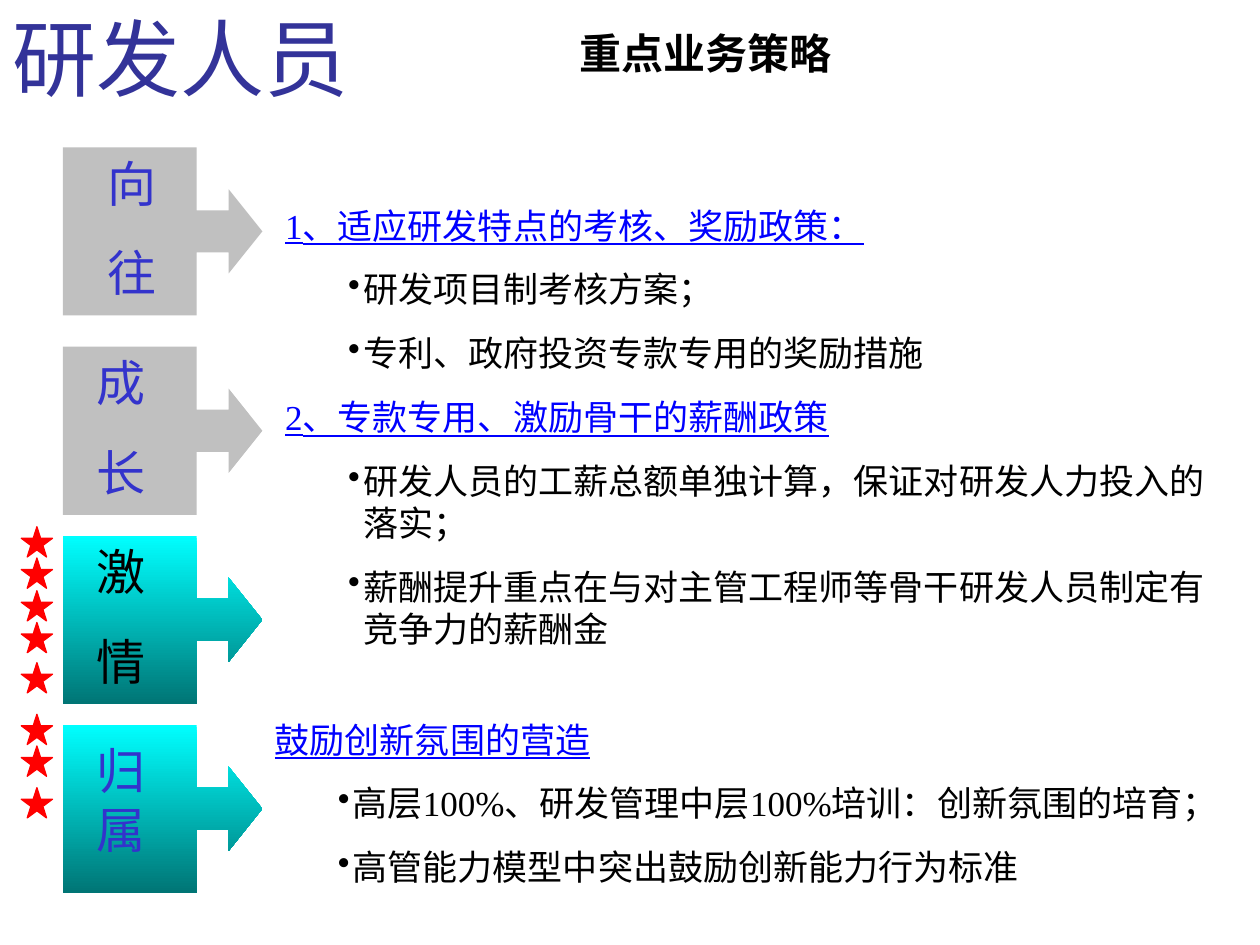
from dataclasses import dataclass

from lxml import etree
from pptx import Presentation
from pptx import util as u
from pptx.dml import color
from pptx.enum import shapes, text
from pptx.oxml import ns


@dataclass(frozen=True)
class Theme:
    title: str = "333399"
    label: str = "3333CC"
    heading: str = "0000FF"
    ink: str = "000000"
    grey: str = "C0C0C0"
    cyan: str = "00FFFF"
    teal: str = "007575"
    star: str = "FF0000"
    title_font: str = "Lato"
    body_font: str = "Times New Roman"
    title_size: int = 48
    label_size: int = 28
    strategy_size: int = 24
    body_size: int = 20


THEME = Theme()

STAGES = [
    (2.97, True, (1.91, 2.97, 3.25), ["向", "往"], THEME.label),
    (6.99, True, (1.7, 6.99, 3.25), ["成", "长"], THEME.label),
    (10.8, False, (1.7, 10.8, 3.25), ["激", "情"], THEME.ink),
    (14.61, False, (1.7, 14.81, 2.64), ["归属"], THEME.label),
]

STAR_TOPS = [10.62, 11.25, 11.91, 12.55, 13.36, 14.4, 15.04, 15.88]

POLICIES = [
    ("1、适应研发特点的考核、奖励政策：", False),
    ("研发项目制考核方案；", True),
    ("专利、政府投资专款专用的奖励措施", True),
    ("2、专款专用、激励骨干的薪酬政策", False),
    ("研发人员的工薪总额单独计算，保证对研发人力投入的落实；", True),
    ("薪酬提升重点在与对主管工程师等骨干研发人员制定有竞争力的薪酬金", True),
]

INNOVATION = [
    ("鼓励创新氛围的营造", False),
    ("高层100%、研发管理中层100%培训：创新氛围的培育；", True),
    ("高管能力模型中突出鼓励创新能力行为标准", True),
]


def rgb(value):
    return color.RGBColor.from_string(value)


def add_box(s, left, top, width, height, anchor=text.MSO_ANCHOR.TOP):
    sp = s.shapes.add_textbox(u.Cm(left), u.Cm(top), u.Cm(width), u.Cm(height))
    tf = sp.text_frame
    tf.word_wrap = True
    tf.vertical_anchor = anchor
    return tf


def add_paragraph(tf, index, space):
    if index == 0:
        return tf.paragraphs[0]
    p = tf.add_paragraph()
    p.space_before = u.Pt(space)
    return p


def add_run(p, words, size, ink, font=THEME.body_font, bold=None, underline=None):
    r = p.add_run()
    r.text = words
    r.font.name = font
    r.font.size = u.Pt(size)
    r.font.bold = bold
    r.font.underline = underline
    r.font.color.rgb = rgb(ink)


def set_indent(p, left, hanging):
    pPr = p._p.get_or_add_pPr()
    pPr.set("marL", str(u.Cm(left)))
    pPr.set("indent", str(-u.Cm(hanging)))
    return pPr


def set_bullet(p):
    p.level = 1
    pPr = set_indent(p, 1.57, 0.3)
    bullet_color = etree.SubElement(pPr, ns.qn("a:buClr"))
    etree.SubElement(bullet_color, ns.qn("a:srgbClr"), val=THEME.ink)
    etree.SubElement(pPr, ns.qn("a:buChar"), char="•")


def add_line(s, words, place, size, ink, **style):
    tf = add_box(s, *place)
    add_run(tf.paragraphs[0], words, size, ink, **style)


def add_callout(s, top, plain):
    sp = s.shapes.add_shape(shapes.MSO_SHAPE.RIGHT_ARROW_CALLOUT,
                            u.Cm(1.27), u.Cm(top), u.Cm(4.02), u.Cm(3.39))
    sp.shadow.inherit = False
    sp.line.fill.background()
    for i, value in enumerate([0.25, 0.25, 0.2, 0.67]):
        sp.adjustments[i] = value
    if plain:
        sp.fill.solid()
        sp.fill.fore_color.rgb = rgb(THEME.grey)
    else:
        sp.fill.gradient()
        sp.fill.gradient_angle = 270
        for stop, shade in zip(sp.fill.gradient_stops, [THEME.cyan, THEME.teal]):
            stop.color.rgb = rgb(shade)


def add_label(s, place, lines, ink):
    left, top, height = place
    tf = add_box(s, left, top, 1.91, height)
    for i, words in enumerate(lines):
        add_run(add_paragraph(tf, i, 17.5), words, THEME.label_size, ink)


def add_star(s, top):
    sp = s.shapes.add_shape(shapes.MSO_SHAPE.STAR_5_POINT,
                            u.Cm(0.43), u.Cm(top), u.Cm(0.63), u.Cm(0.61))
    sp.shadow.inherit = False
    sp.fill.solid()
    sp.fill.fore_color.rgb = rgb(THEME.star)
    sp.line.color.rgb = rgb(THEME.star)
    sp.line.width = u.Pt(0.75)


def add_outline(s, place, items):
    tf = add_box(s, *place)
    for i, (words, bulleted) in enumerate(items):
        p = add_paragraph(tf, i, 12.5)
        if bulleted:
            set_bullet(p)
            add_run(p, words, THEME.body_size, THEME.ink)
        else:
            set_indent(p, 0.28, 0.28)
            add_run(p, words, THEME.body_size, THEME.heading, underline=True)


def main():
    prs = Presentation()
    prs.slide_width, prs.slide_height = u.Cm(25.4), u.Cm(19.05)
    s = prs.slides.add_slide(prs.slide_layouts[6])

    add_line(s, "研发人员", (0, 0, 24.64, 1.55), THEME.title_size, THEME.title,
             font=THEME.title_font)
    for top, plain, place, lines, ink in STAGES:
        add_callout(s, top, plain)
        add_label(s, place, lines, ink)
    add_line(s, "重点业务策略", (11.43, 0, 17.15, 2.11, text.MSO_ANCHOR.MIDDLE),
             THEME.strategy_size, THEME.ink, bold=True)
    for top in STAR_TOPS:
        add_star(s, top)
    add_outline(s, (5.5, 3.99, 19.26, 11.81), POLICIES)
    add_outline(s, (5.29, 14.35, 19.26, 9.68), INNOVATION)

    prs.save("out.pptx")


if __name__ == "__main__":
    main()
